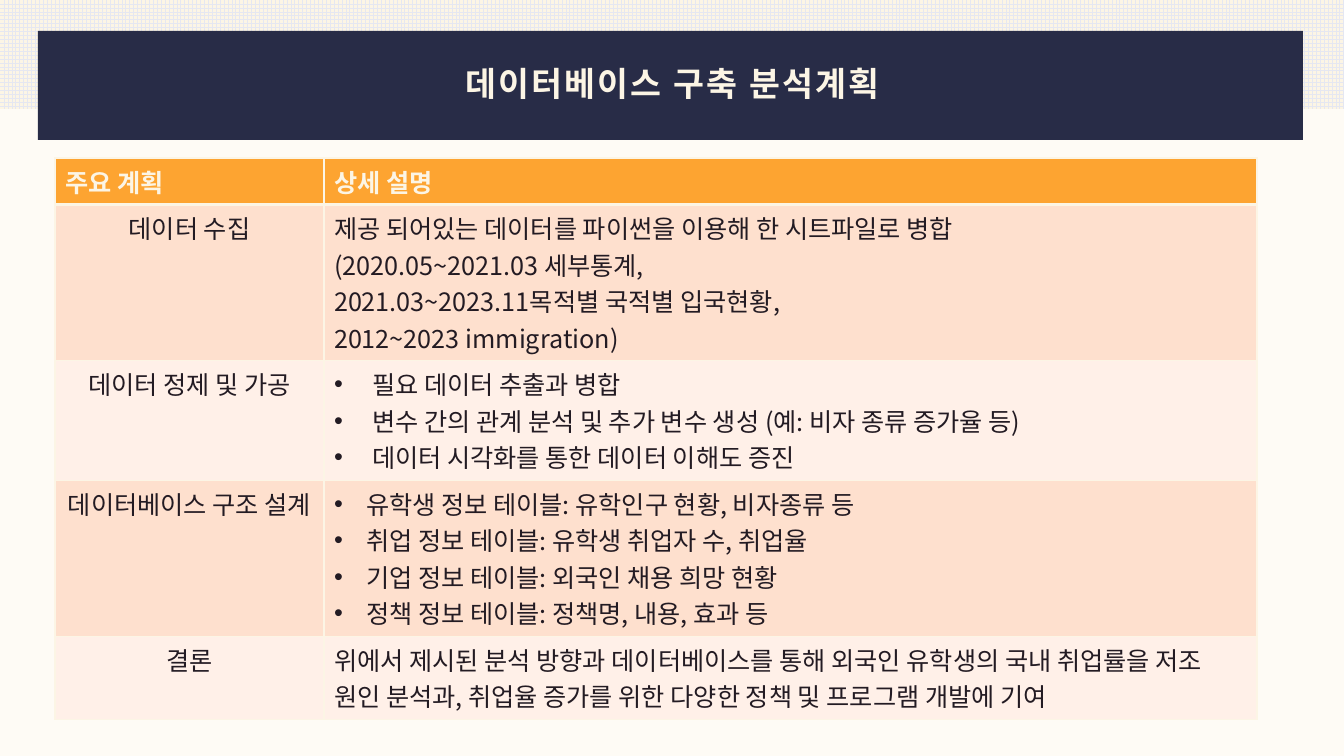
"""Build the database construction and analysis plan slide."""
from dataclasses import dataclass
from typing import Optional

from lxml import etree
from pptx import Presentation
from pptx import util as u
from pptx.dml.color import RGBColor
from pptx.enum import dml, shapes, text
from pptx.oxml.ns import qn

EMU_PER_PX = 914400 / 100.8


@dataclass(frozen=True)
class Theme:
    page: str = "FEFBF5"
    cream: str = "FCF5E5"
    grid: str = "E5E7F1"
    navy: str = "282C47"
    orange: str = "FDA431"
    ink: str = "231B23"
    bands: tuple[str, str] = ("FEE0CE", "FFF0E8")
    title_font: str = "Noto Sans CJK KR"
    table_font: str = "Noto Sans CJK JP"
    title_size: int = 24
    table_size: int = 18
    title_spacing: int = 150
    rule: int = 1
    header_rule: int = 3


@dataclass(frozen=True)
class Box:
    left: int
    top: int
    width: int
    height: int

    def emu(self) -> tuple[u.Emu, ...]:
        return tuple(px(n) for n in (self.left, self.top, self.width, self.height))


@dataclass(frozen=True)
class PlanRow:
    height: int
    plan: str
    details: tuple[str, ...]
    indent: int = 0


THEME = Theme()
PAGE = (1344, 756)
GRID_BAND = Box(0, 0, 1344, 109)
TITLE_BAR = Box(38, 31, 1265, 109)
TITLE = Box(71, 53, 1203, 65)
TABLE_LEFT, TABLE_TOP = 55, 158
COLUMNS = (269, 933)
ROWS = (
    PlanRow(44, "주요 계획", ("상세 설명",)),
    PlanRow(145, "데이터 수집", (
        "제공 되어있는 데이터를 파이썬을 이용해 한 시트파일로 병합",
        "(2020.05~2021.03 세부통계,",
        "2021.03~2023.11목적별 국적별 입국현황,",
        "2012~2023 immigration)",
    )),
    PlanRow(112, "데이터 정제 및 가공", (
        "필요 데이터 추출과 병합",
        "변수 간의 관계 분석 및 추가 변수 생성 (예: 비자 종류 증가율 등)",
        "데이터 시각화를 통한 데이터 이해도 증진",
    ), indent=38),
    PlanRow(145, "데이터베이스 구조 설계", (
        "유학생 정보 테이블: 유학인구 현황, 비자종류 등",
        "취업 정보 테이블: 유학생 취업자 수, 취업율",
        "기업 정보 테이블: 외국인 채용 희망 현황",
        "정책 정보 테이블: 정책명, 내용, 효과 등",
    ), indent=32),
    PlanRow(79, "결론", (
        "위에서 제시된 분석 방향과 데이터베이스를 통해 외국인 유학생의 국내 취업률을 저조 "
        "원인 분석과, 취업율 증가를 위한 다양한 정책 및 프로그램 개발에 기여",
    )),
)


def px(length: int) -> u.Emu:
    return u.Emu(round(length * EMU_PER_PX))


def rgb(color: str) -> RGBColor:
    return RGBColor.from_string(color)


def style(paragraph, font: str, size: int, color: str, bold: bool, spacing: int = 0) -> None:
    paragraph.font.size = u.Pt(size)
    paragraph.font.bold = bold
    paragraph.font.color.rgb = rgb(color)
    paragraph.font.name = font
    properties = paragraph._p.pPr.find(qn("a:defRPr"))
    properties.find(qn("a:latin")).addnext(
        etree.Element(qn("a:ea"), typeface=font))
    if spacing:
        properties.set("spc", str(spacing))


def add_bullet(paragraph, indent: int) -> None:
    properties = paragraph._p.get_or_add_pPr()
    properties.set("marL", str(px(indent)))
    properties.set("indent", str(-px(indent)))
    etree.SubElement(properties, qn("a:buFont"), typeface="Arial")
    etree.SubElement(properties, qn("a:buChar"), char="•")


def add_rectangle(slide, box: Box):
    shape = slide.shapes.add_shape(shapes.MSO_SHAPE.RECTANGLE, *box.emu())
    shape.shadow.inherit = False
    shape.line.fill.background()
    return shape


def add_backdrop(slide) -> None:
    slide.background.fill.solid()
    slide.background.fill.fore_color.rgb = rgb(THEME.page)
    band = add_rectangle(slide, GRID_BAND)
    band.fill.patterned()
    band.fill.pattern = dml.MSO_PATTERN.LARGE_GRID
    band.fill.fore_color.rgb = rgb(THEME.grid)
    band.fill.back_color.rgb = rgb(THEME.cream)
    bar = add_rectangle(slide, TITLE_BAR)
    bar.fill.solid()
    bar.fill.fore_color.rgb = rgb(THEME.navy)


def set_title(slide, wording: str) -> None:
    title = slide.shapes.title
    slide.shapes._spTree.append(title._element)
    title.left, title.top, title.width, title.height = TITLE.emu()
    frame = title.text_frame
    frame.text = wording
    frame.auto_size = text.MSO_AUTO_SIZE.NONE
    frame.vertical_anchor = text.MSO_ANCHOR.MIDDLE
    paragraph = frame.paragraphs[0]
    paragraph.alignment = text.PP_ALIGN.CENTER
    paragraph.line_spacing = 0.9
    style(paragraph, THEME.title_font, THEME.title_size, THEME.cream, True, THEME.title_spacing)


def set_borders(cell, top: int, bottom: int) -> None:
    properties = cell._tc.get_or_add_tcPr()
    widths = {"lnL": THEME.rule, "lnR": THEME.rule, "lnT": top, "lnB": bottom}
    for side, width in widths.items():
        line = etree.SubElement(properties, qn(f"a:{side}"), w=str(u.Pt(width)))
        fill = etree.SubElement(line, qn("a:solidFill"))
        etree.SubElement(fill, qn("a:srgbClr"), val=THEME.cream)


def fill_cell(cell, lines: tuple[str, ...], fill: str, header: bool,
              alignment: Optional[text.PP_ALIGN], indent: int) -> None:
    cell.fill.solid()
    cell.fill.fore_color.rgb = rgb(fill)
    cell.text = "\n".join(lines)
    for paragraph in cell.text_frame.paragraphs:
        paragraph.alignment = alignment
        if indent:
            add_bullet(paragraph, indent)
        style(paragraph, THEME.table_font, THEME.table_size,
              THEME.cream if header else THEME.ink, header)


def add_plan_table(slide) -> None:
    box = Box(TABLE_LEFT, TABLE_TOP, sum(COLUMNS), sum(row.height for row in ROWS))
    table = slide.shapes.add_table(len(ROWS), len(COLUMNS), *box.emu()).table
    for column, width in zip(table.columns, COLUMNS):
        column.width = px(width)
    for index, row in enumerate(ROWS):
        table.rows[index].height = px(row.height)
        header = index == 0
        fill = THEME.orange if header else THEME.bands[(index - 1) % 2]
        plan, details = table.rows[index].cells
        for cell in (plan, details):
            set_borders(cell, THEME.header_rule if index == 1 else THEME.rule,
                        THEME.header_rule if header else THEME.rule)
        fill_cell(plan, (row.plan,), fill, header,
                  None if header else text.PP_ALIGN.CENTER, 0)
        fill_cell(details, row.details, fill, header, None, row.indent)


def main() -> None:
    presentation = Presentation()
    presentation.slide_width, presentation.slide_height = map(px, PAGE)
    slide = presentation.slides.add_slide(presentation.slide_layouts.get_by_name("Title Only"))
    add_backdrop(slide)
    set_title(slide, "데이터베이스 구축 분석계획")
    add_plan_table(slide)
    presentation.save("out.pptx")


if __name__ == "__main__":
    main()
